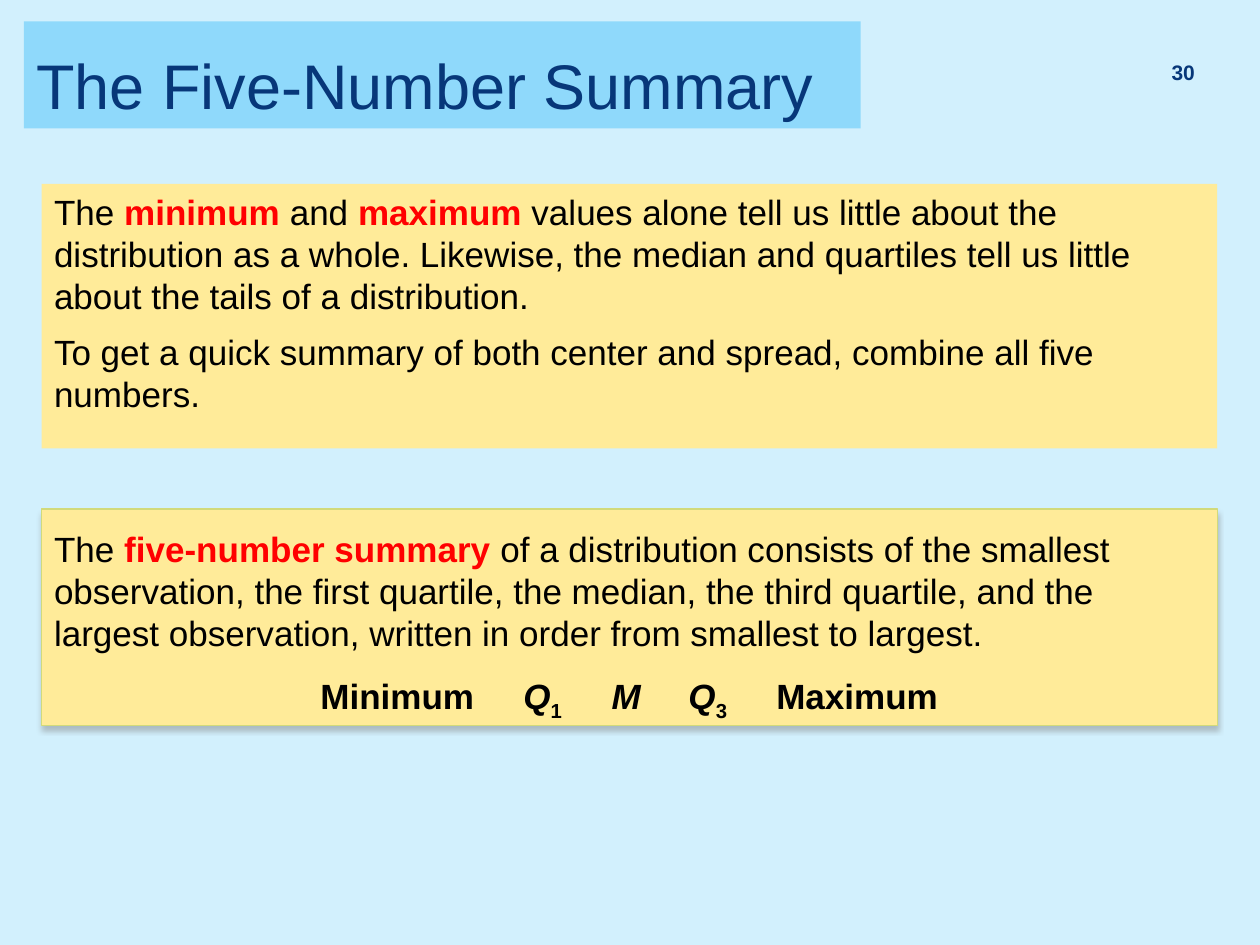
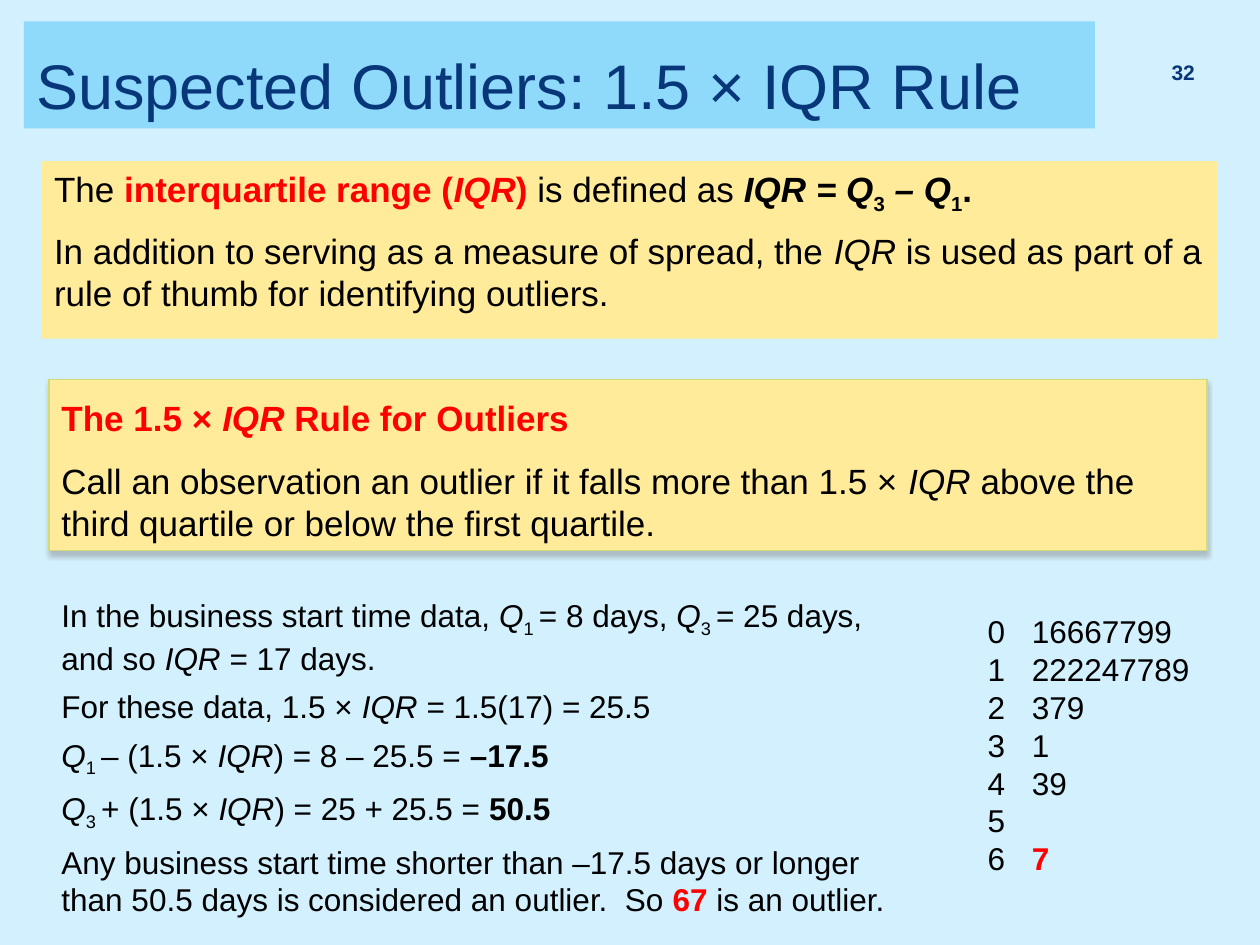
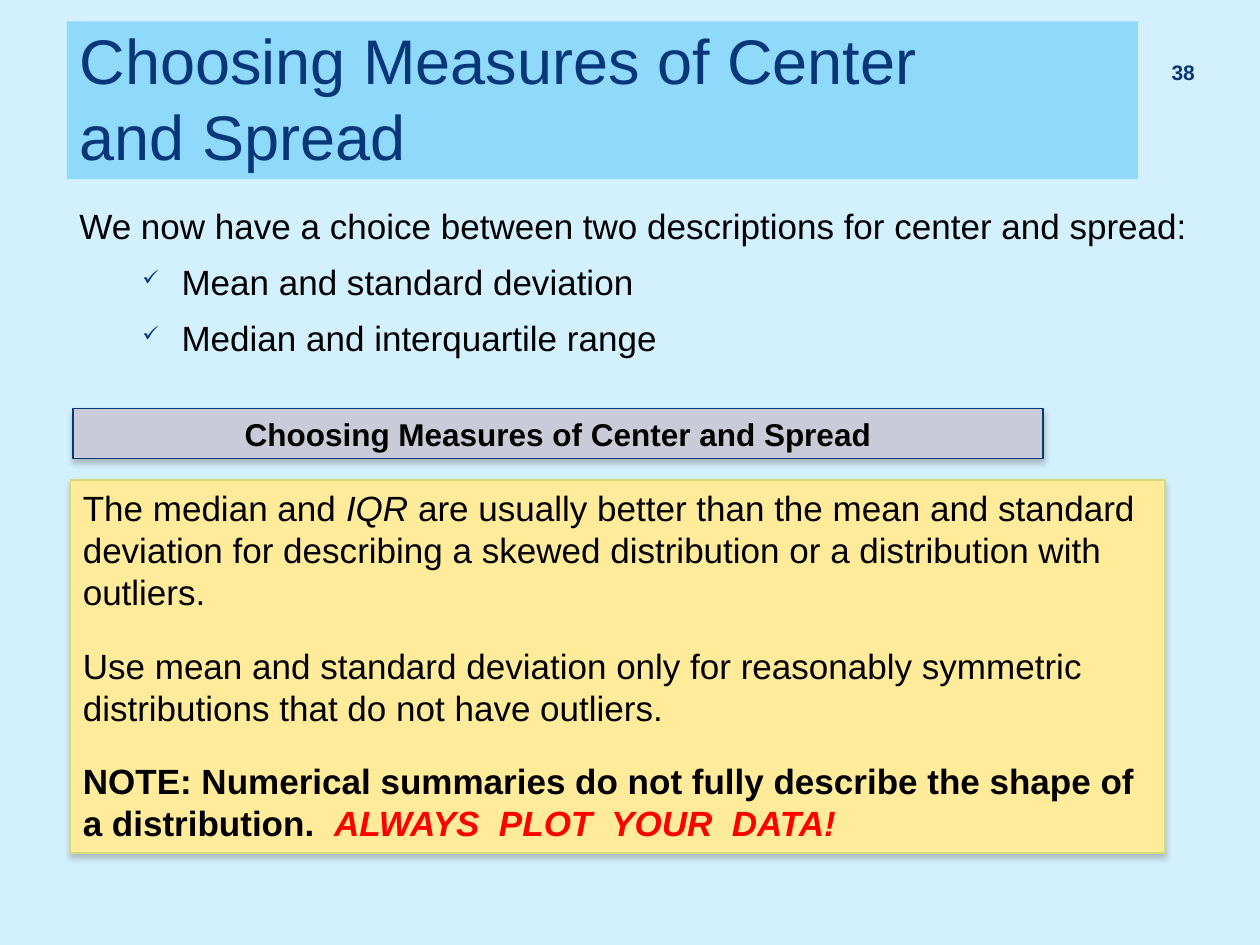
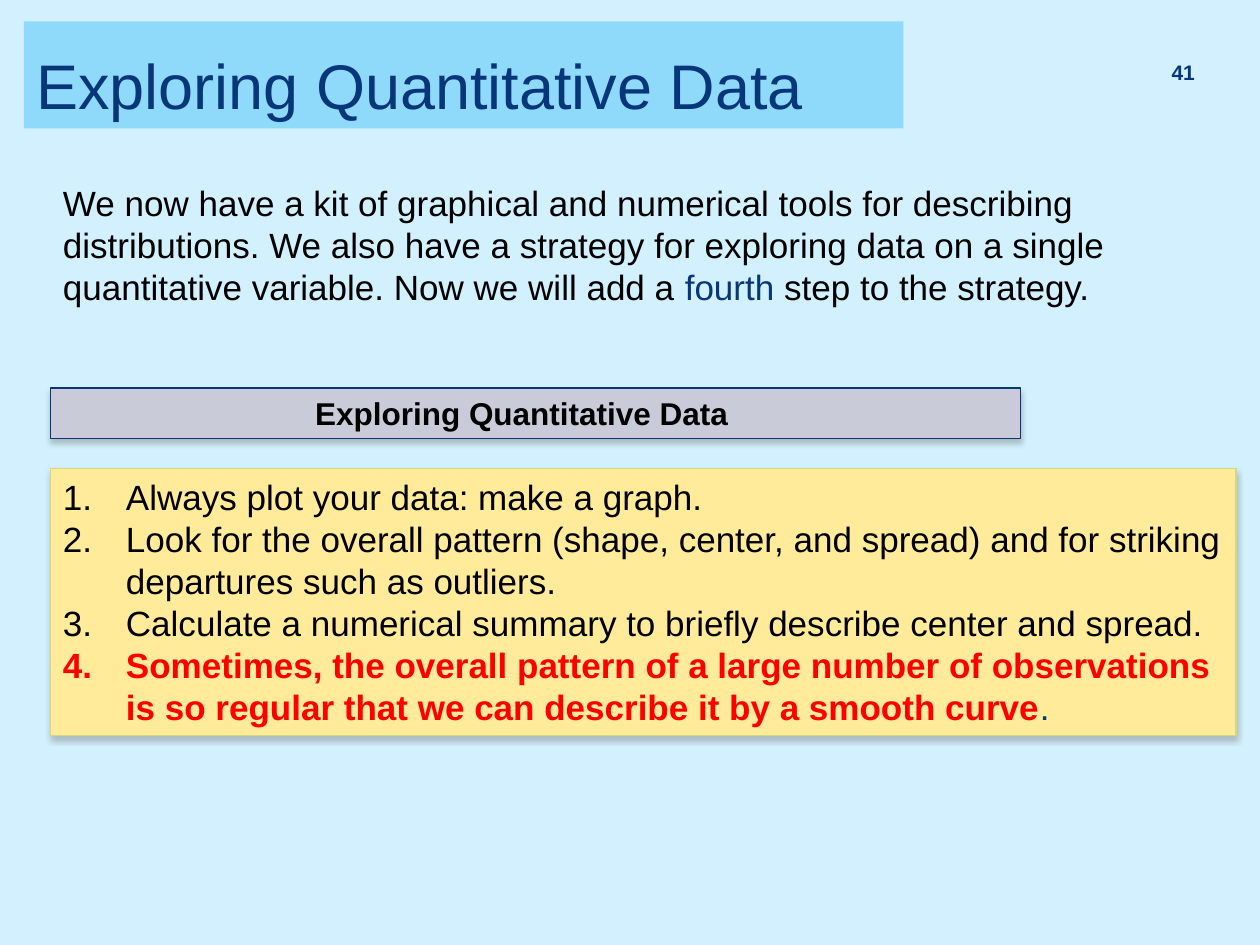
"""Build four slides on summarising and exploring quantitative data."""
import lxml.etree
import pptx
import pptx.dml.color
import pptx.enum.shapes
import pptx.enum.text
import pptx.oxml.ns
import pptx.util

Cm = pptx.util.Cm
Pt = pptx.util.Pt
ALIGN = pptx.enum.text.PP_ALIGN
ANCHOR = pptx.enum.text.MSO_ANCHOR

SKY, BAND, NAVY = "D2F0FD", "8FD9FB", "073779"
YELLOW, OLIVE, GREY = "FFEB99", "D2DA7A", "C9CCD8"
BLACK, RED, SHADOW = "000000", "FF0000", "808080"
MARKS = {"b": {"bold": True}, "i": {"italic": True}}
COLOURS = {"r": RED, "n": NAVY}
HEADER_SIZE = (19.56, 1.02)


def colour(value):
    """Turn a hex string into a colour."""
    return pptx.dml.color.RGBColor.from_string(value)


def add_xml(parent, tag, **attributes):
    """Append a drawing element with the given attributes."""
    names = {name: str(value) for name, value in attributes.items()}
    return lxml.etree.SubElement(parent, pptx.oxml.ns.qn(tag), names)


class SlideBuilder:
    """Hold the deck's style and the slide being built."""

    def __init__(self):
        """Start a deck with the shared background."""
        self.deck = pptx.Presentation()
        self.deck.slide_width = Cm(25.4)
        self.deck.slide_height = Cm(19.05)
        background = self.deck.slide_master.background.fill
        background.solid()
        background.fore_color.rgb = colour(SKY)
        self.page = None

    def add_page(self, title, number, width, left=0.48, height=2.16):
        """Add a slide with its title band and page number."""
        self.page = self.deck.slides.add_slide(self.deck.slide_layouts[5])
        band = self.page.shapes.title
        places = {"left": left, "top": 0.43, "width": width, "height": height}
        for name, value in places.items():
            setattr(band, name, Cm(value))
        band.fill.solid()
        band.fill.fore_color.rgb = colour(BAND)
        self.prepare(band.text_frame, ANCHOR.BOTTOM)
        para = band.text_frame.paragraphs[0]
        para.text = title
        para.alignment = ALIGN.LEFT
        for span in para.runs:
            self.style(span, 36, shade=NAVY)
        frame = self.text_box((22.94, 0.99, 1.4, 1.02), ANCHOR.MIDDLE)
        self.add_paragraphs(frame, [[(str(number), "bn")]], 12,
                            alignment=ALIGN.RIGHT, line_spacing=0.8)

    def prepare(self, frame, anchor=ANCHOR.TOP):
        """Give a text frame the shared wrapping and anchoring."""
        formats = {"word_wrap": True, "vertical_anchor": anchor,
                   "auto_size": pptx.enum.text.MSO_AUTO_SIZE.NONE}
        for name, value in formats.items():
            setattr(frame, name, value)
        return frame

    def text_box(self, place, anchor=ANCHOR.TOP):
        """Add a plain text box and return its frame."""
        box = self.page.shapes.add_textbox(*map(Cm, place))
        return self.prepare(box.text_frame, anchor)

    def panel(self, place, fill=YELLOW, line=None, inset=0.13):
        """Add a filled box, shadowed when outlined, and return its frame."""
        box = self.page.shapes.add_shape(
            pptx.enum.shapes.MSO_SHAPE.RECTANGLE, *map(Cm, place))
        box.shadow.inherit = False
        box.fill.solid()
        box.fill.fore_color.rgb = colour(fill)
        if line:
            box.line.color.rgb = colour(line)
            box.line.width = Pt(0.79)
            effects = box._element.spPr.find(pptx.oxml.ns.qn("a:effectLst"))
            shadow = add_xml(effects, "a:outerShdw", blurRad=Pt(3), dist=Pt(2.4),
                             dir=5400000, rotWithShape=0)
            add_xml(add_xml(shadow, "a:srgbClr", val=SHADOW), "a:alpha", val=45000)
        else:
            box.line.fill.background()
        box.text_frame.margin_top = Cm(inset)
        return self.prepare(box.text_frame)

    def header(self, left, top, words):
        """Add a grey heading bar."""
        frame = self.panel((left, top, *HEADER_SIZE), GREY, NAVY)
        self.add_paragraphs(frame, [[(words, "b")]], 18, alignment=ALIGN.CENTER)

    def style(self, span, size, marks="", shade=BLACK):
        """Format a run by its marks: bold, italic, red, navy, subscript."""
        formats = {"name": "Arial", "size": Pt(size), "bold": False, "italic": False}
        for mark in marks:
            formats.update(MARKS.get(mark, {}))
            shade = COLOURS.get(mark, shade)
        for name, value in formats.items():
            setattr(span.font, name, value)
        span.font.color.rgb = colour(shade)
        if "s" in marks:
            span._r.get_or_add_rPr().set("baseline", "-25000")

    def add_paragraphs(self, frame, paragraphs, size=20, bullet=None, tabs=(), **formats):
        """Append paragraphs made of plain strings and (text, marks) pairs."""
        for spans in paragraphs:
            first = not frame.paragraphs[0].runs
            para = frame.paragraphs[0] if first else frame.add_paragraph()
            properties = para._p.get_or_add_pPr()
            if bullet:
                self.bullet(properties, bullet)
            if tabs:
                stops = add_xml(properties, "a:tabLst")
                for stop in tabs:
                    add_xml(stops, "a:tab", pos=Cm(stop), algn="l")
            settings = {"alignment": ALIGN.LEFT, **formats}
            if first:
                settings["space_before"] = Pt(0)
            for name, value in settings.items():
                setattr(para, name, value)
            for item in spans:
                words, marks = (item, "") if isinstance(item, str) else item
                span = para.add_run()
                span.text = words
                self.style(span, size, marks)

    def bullet(self, properties, kind):
        """Give a paragraph a check mark or a number."""
        indent, hanging = (2.06, 0.79) if kind == "check" else (1.27, 1.27)
        properties.set("marL", str(Cm(indent)))
        properties.set("indent", str(-Cm(hanging)))
        if kind == "check":
            properties.set("lvl", "1")
            add_xml(add_xml(properties, "a:buClr"), "a:srgbClr", val=NAVY)
            add_xml(properties, "a:buSzPct", val=60000)
            add_xml(properties, "a:buChar", char="✓")
        else:
            add_xml(properties, "a:buAutoNum", type="arabicPeriod")


def five_number_summary(builder):
    """Build the slide on the five-number summary."""
    builder.add_page("The Five-Number Summary", 30, 16.87)
    reason = builder.panel((0.84, 3.71, 23.7, 5.33))
    builder.add_paragraphs(reason, [
        ["The ", ("minimum", "br"), " and ", ("maximum", "br"),
         " values alone tell us little about the distribution as a whole. Likewise, "
         "the median and quartiles tell us little about the tails of a distribution."],
        ["To get a quick summary of both center and spread, combine all five numbers."],
    ], space_before=Pt(8))
    definition = builder.panel((0.84, 10.26, 23.7, 4.37), line=OLIVE, inset=0.38)
    builder.add_paragraphs(definition, [
        ["The ", ("five-number summary ", "br"),
         "of a distribution consists of the smallest observation, the first quartile, "
         "the median, the third quartile, and the largest observation, written in "
         "order from smallest to largest."],
    ], space_after=Pt(12))
    builder.add_paragraphs(definition, [
        [("\tMinimum", "b"), ("\tQ", "bi"), ("1", "bs"), ("\tM", "bi"),
         ("\tQ", "bi"), ("3", "bs"), ("\tMaximum", "b")],
    ], tabs=(5.37, 9.46, 11.24, 12.79, 14.56), space_after=Pt(12))


def suspected_outliers(builder):
    """Build the slide on the outlier rule."""
    iqr = ("IQR", "i")
    first_quartile = [("Q", "i"), ("1 ", "s")]
    third_quartile = [("Q", "i"), ("3 ", "s")]
    builder.add_page("Suspected Outliers: 1.5 × IQR Rule", 32, 21.59)
    definition = builder.panel((0.84, 3.25, 23.7, 3.58))
    builder.add_paragraphs(definition, [
        ["The ", ("interquartile range (", "br"), ("IQR", "bir"), (") ", "br"),
         "is defined as ", ("IQR = Q", "bi"), ("3", "bs"), (" – Q", "bi"),
         ("1", "bs"), (".", "b")],
        ["In addition to serving as a measure of spread, the ", iqr,
         " is used as part of a rule of thumb for identifying outliers."],
    ], space_before=Pt(8))
    rule = builder.panel((0.99, 7.65, 23.34, 3.45), line=OLIVE, inset=0.34)
    builder.add_paragraphs(rule, [
        [("The 1.5 × ", "br"), ("IQR", "bir"), (" Rule for Outliers", "br")],
        ["Call an observation an outlier if it falls more than 1.5 × ", iqr,
         " above the third quartile or below the first quartile."],
    ], space_after=Pt(12))
    example = builder.text_box((0.99, 11.89, 17.63, 6.5))
    builder.add_paragraphs(example, [
        ["In the business start time data, ", *first_quartile, "= 8 days, ",
         *third_quartile, "= 25 days, and so ", iqr, " = 17 days."],
        ["For these data, 1.5 × ", iqr, " = 1.5(17) = 25.5"],
        [*first_quartile, "– (1.5 × ", iqr, ") = 8 – 25.5 = ", ("–17.5", "b")],
        [*third_quartile, "+ (1.5 × ", iqr, ") = 25 + 25.5 = ", ("50.5", "b")],
        ["Any business start time shorter than –17.5 days or longer than 50.5 days "
         "is considered an outlier.  So ", ("67", "br"), " is an outlier."],
    ], 18, space_after=Pt(6))
    stemplot = builder.text_box((19.66, 12.22, 4.6, 6.4))
    stemplot.margin_right = 0
    rows = ["0\t16667799", "1\t222247789", "2\t379", "3\t1", "4\t39", "5"]
    builder.add_paragraphs(stemplot, [[row] for row in rows] + [["6\t", ("7", "br")]],
                           18, tabs=(0.89,))


def choosing_measures(builder):
    """Build the slide on choosing measures."""
    builder.add_page("Choosing Measures of Center \vand Spread", 38, 21.59, 1.35, 3.18)
    choice = builder.text_box((1.35, 3.99, 22.99, 3.73))
    builder.add_paragraphs(choice, [
        ["We now have a choice between two descriptions for center and spread:"]])
    builder.add_paragraphs(choice, [["Mean and standard deviation"],
                                    ["Median and interquartile range"]],
                           bullet="check", space_before=Pt(8))
    builder.header(1.47, 8.23, "Choosing Measures of Center and Spread")
    advice = builder.panel((1.42, 9.68, 22.07, 7.52), line=OLIVE)
    builder.add_paragraphs(advice, [
        ["The median and ", ("IQR ", "i"),
         "are usually better than the mean and standard deviation for describing a "
         "skewed distribution or a distribution with outliers."],
        ["Use mean and standard deviation only for reasonably symmetric distributions "
         "that do not have outliers."],
        [("NOTE: Numerical summaries do not fully describe the shape of a "
          "distribution.  ", "b"), ("ALWAYS  PLOT  YOUR  DATA!", "bir")],
    ], space_after=Pt(18))


def exploring_data(builder):
    """Build the slide on the exploration strategy."""
    builder.add_page("Exploring Quantitative Data", 41, 17.73)
    introduction = builder.text_box((1.02, 3.53, 21.62, 2.95))
    builder.add_paragraphs(introduction, [
        ["We now have a kit of graphical and numerical tools for describing "
         "distributions. We also have a strategy for exploring data on a single "
         "quantitative variable. Now we will add a ", ("fourth", "n"),
         " step to the strategy."]])
    builder.header(1.02, 7.82, "Exploring Quantitative Data\t")
    steps = builder.panel((1.02, 9.45, 23.9, 5.38), line=OLIVE)
    builder.add_paragraphs(steps, [
        ["Always plot your data: make a graph."],
        ["Look for the overall pattern (shape, center, and spread) and for striking "
         "departures such as outliers."],
        ["Calculate a numerical summary to briefly describe center and spread."],
        [("Sometimes, the overall pattern of a large number of observations is so "
          "regular that we can describe it by a smooth curve", "br"), (".", "n")],
    ], bullet="number")


def main():
    """Build the slides and save the deck."""
    builder = SlideBuilder()
    for build in (five_number_summary, suspected_outliers,
                  choosing_measures, exploring_data):
        build(builder)
    builder.deck.save("out.pptx")


if __name__ == "__main__":
    main()
